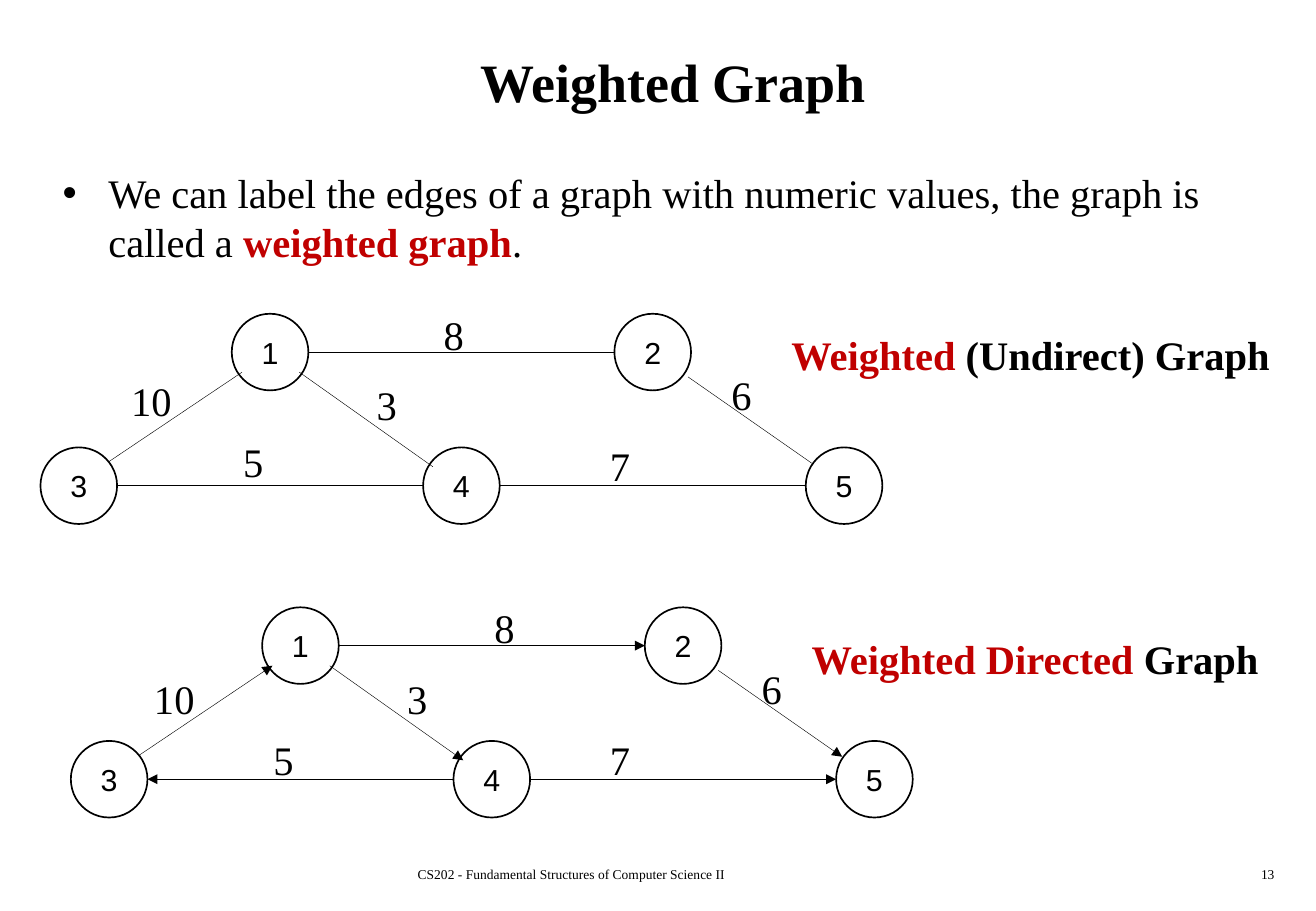
from pptx import Presentation
from pptx.dml.color import RGBColor
from pptx.enum.shapes import MSO_CONNECTOR as Link, MSO_SHAPE as Kind
from pptx.enum.text import MSO_ANCHOR as Anchor, MSO_AUTO_SIZE as Fit, PP_ALIGN as Align
from pptx.oxml.ns import qn
from pptx.util import Pt
from lxml.etree import SubElement

SERIF, SANS = "Times New Roman", "Arial"
BLACK, RED = "000000", "C00000"

TITLE = [("Weighted Graph", BLACK, True)]
BODY = [
    ("We can label the edges of a graph with numeric values, the graph is called a ", BLACK, False),
    ("weighted graph", RED, True),
    (".", BLACK, False),
]
FOOTER = "CS202 - Fundamental Structures of Computer Science II"
NUMBER = "13"

# Node name: column and row in the graph's grid
NODES = {"1": (1, 0), "2": (3, 0), "3": (0, 1), "4": (2, 1), "5": (4, 1)}
SIZE, STEP, DROP = 45.4, 113.4, 79.2
RIGHT, LEFT = (SIZE / 2, 0), (-SIZE / 2, 0)

# Start node, offset from its centre, end node, offset from its centre
EDGES = [
    ("1", (17.3, 11.9), "4", (-16.9, -11.2)),
    ("1", RIGHT, "2", LEFT),
    ("2", (20.9, 14.7), "5", (-19.1, -13.3)),
    ("4", LEFT, "3", RIGHT),
    ("4", RIGHT, "5", LEFT),
    ("3", (17.6, -14.1), "1", (-16.6, 11.9)),
]

GRAPHS = [
    {
        "origin": (24, 186),
        "arrow": False,
        "name": [("Weighted", RED, True), (" (Undirect) Graph", BLACK, True)],
        "box": (462, 192, 301, 37),
        "weights": [("8", 255.6, 180), ("7", 354.2, 257.8), ("10", 70.6, 219.6),
                    ("5", 136.8, 255.6), ("3", 216, 221.8), ("6", 426.2, 216)],
    },
    {
        "origin": (42, 360),
        "arrow": True,
        "name": [("Weighted Directed ", RED, True), ("Graph", BLACK, True)],
        "box": (474, 372, 281.5, 37),
        "weights": [("8", 285.8, 354.2), ("7", 354.2, 432), ("10", 84.2, 396),
                    ("5", 154.8, 432), ("3", 234, 396), ("6", 444.2, 390.2)],
    },
]


def color(code):
    return RGBColor.from_string(code)


def write(frame, parts, size, align=Align.LEFT, font=SERIF):
    """Fill the first paragraph with (text, colour, bold) runs."""
    para = frame.paragraphs[0]
    para.alignment = align
    for text, code, bold in parts:
        run = para.add_run()
        run.text = text
        run.font.name, run.font.size, run.font.bold = font, Pt(size), bold
        run.font.color.rgb = color(code)
    return para


def place(shape, *box):
    shape.left, shape.top, shape.width, shape.height = map(Pt, box)


def label(slide, parts, box, size, align=Align.LEFT, wrap=False):
    frame = slide.shapes.add_textbox(*map(Pt, box)).text_frame
    frame.word_wrap = wrap
    write(frame, parts, size, align)


def center(origin, name):
    col, row = NODES[name]
    return origin[0] + col * STEP + SIZE / 2, origin[1] + row * DROP + SIZE / 2


def draw_edge(slide, start, end, arrow):
    line = slide.shapes.add_connector(Link.STRAIGHT, *map(Pt, start + end))
    line.line.width = Pt(0.25)
    line.line.color.rgb = color(BLACK)
    if arrow:
        SubElement(line.line._get_or_add_ln(), qn("a:tailEnd"), type="triangle")
    SubElement(line._element.spPr, qn("a:effectLst"))


def draw_node(slide, name, x, y):
    box = (x - SIZE / 2, y - SIZE / 2, SIZE, SIZE)
    node = slide.shapes.add_shape(Kind.OVAL, *map(Pt, box))
    node.shadow.inherit = False
    node.fill.background()
    node.line.width = Pt(1)
    node.line.color.rgb = color(BLACK)
    frame = node.text_frame
    frame.word_wrap = False
    frame.vertical_anchor = Anchor.MIDDLE
    write(frame, [(name, BLACK, False)], 18, Align.CENTER, SANS)


def draw_graph(slide, graph):
    spots = {name: center(graph["origin"], name) for name in NODES}
    for first, near, last, far in EDGES:
        start = tuple(map(sum, zip(spots[first], near)))
        end = tuple(map(sum, zip(spots[last], far)))
        draw_edge(slide, start, end, graph["arrow"])
    for name, (x, y) in spots.items():
        draw_node(slide, name, x, y)
    for text, x, y in graph["weights"]:
        wide = 26.6 if len(text) == 1 else 38.2
        label(slide, [(text, BLACK, False)], (x, y, wide, 36), 24, Align.CENTER)
    label(slide, graph["name"], graph["box"], 24)


def main():
    deck = Presentation()
    deck.slide_width, deck.slide_height = Pt(780), Pt(540)
    slide = deck.slides.add_slide(deck.slide_layouts[1])

    title, body = slide.placeholders
    place(title, 30, 12, 738, 72)
    place(body, 30, 96, 732, 78)
    for holder in (title, body):
        holder.text_frame.auto_size = Fit.NONE
    title.text_frame.vertical_anchor = Anchor.MIDDLE
    write(title.text_frame, TITLE, 32, Align.CENTER)
    para = write(body.text_frame, BODY, 24)
    para.space_before = Pt(4.8)
    props = para._p.get_or_add_pPr()
    props.set("marL", str(Pt(27)))
    props.set("indent", str(Pt(-27)))

    for graph in GRAPHS:
        draw_graph(slide, graph)
    label(slide, [(FOOTER, BLACK, False)], (240.5, 510, 292, 18), 8, wrap=True)
    label(slide, [(NUMBER, BLACK, False)], (600, 510, 162.5, 18), 8, Align.RIGHT, True)
    deck.save("out.pptx")


if __name__ == "__main__":
    main()
